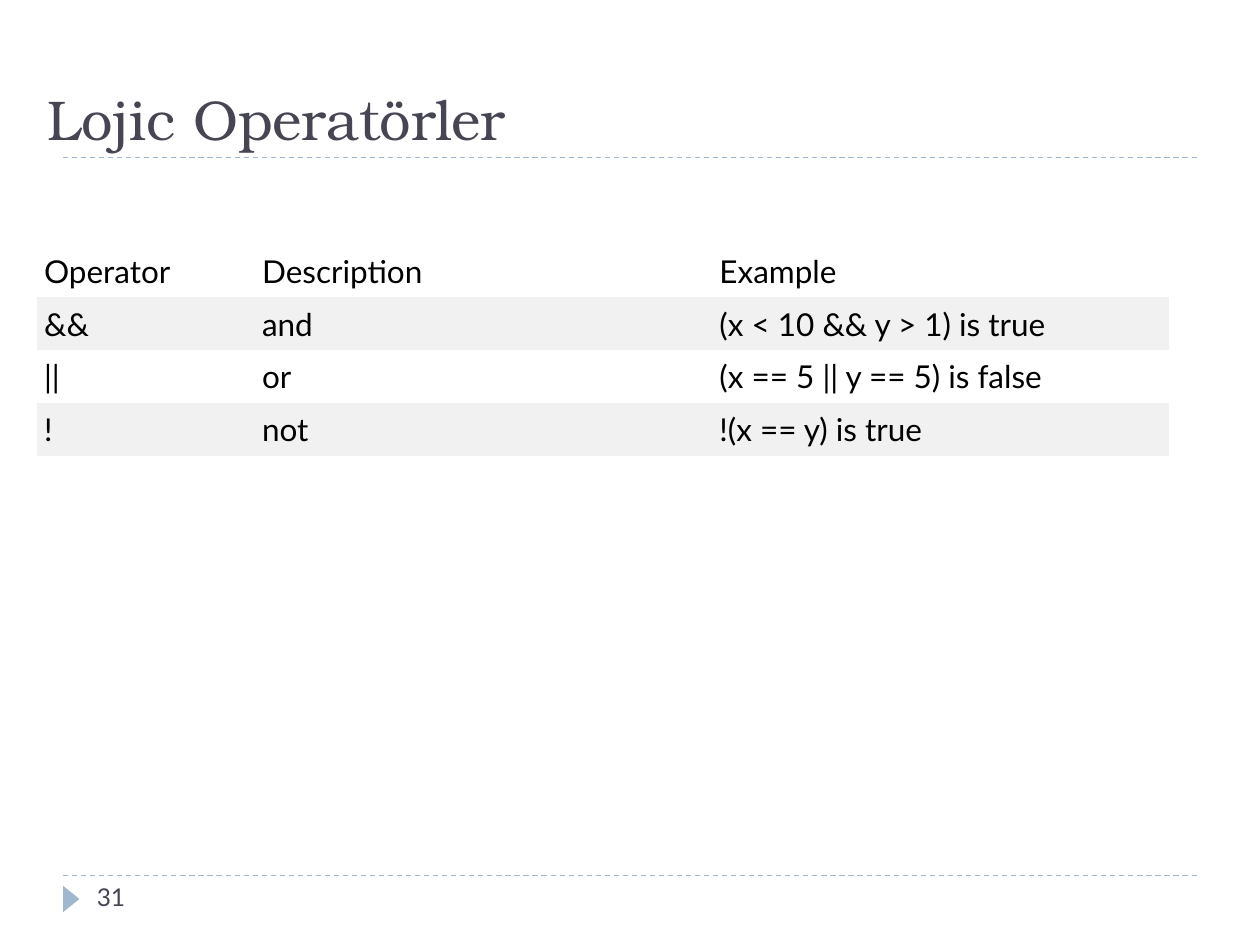
import pptx
import pptx.util
import pptx.dml.color
import pptx.enum.dml
import pptx.enum.shapes
import pptx.enum.text
import pptx.oxml.ns
import lxml.etree

Inches = pptx.util.Inches
Pt = pptx.util.Pt


def color(value):
    return pptx.dml.color.RGBColor.from_string(value)


class SlideBuilder:
    title_font = "TeX Gyre Bonum"
    body_font = "Lato"
    dark = "464653"
    accent = "9FB8CD"
    black = "000000"
    band_fills = ("FFFFFF", "F1F1F1")
    plain_table_style = "{2D5ABB26-0587-4C30-8999-92F81FD0307C}"

    def __init__(self, slide):
        self.slide = slide

    def add_text_run(self, frame, text, font, size, text_color):
        run = frame.paragraphs[0].add_run()
        run.text = text
        run.font.name = font
        run.font.size = Pt(size)
        run.font.color.rgb = color(text_color)

    def text(self, box, text, font, size, anchor):
        frame = self.slide.shapes.add_textbox(*map(Inches, box)).text_frame
        frame.word_wrap = True
        frame.vertical_anchor = anchor
        self.add_text_run(frame, text, font, size, self.dark)

    def dashed_rule(self, left, right, y):
        rule = self.slide.shapes.add_connector(
            pptx.enum.shapes.MSO_CONNECTOR.STRAIGHT,
            Inches(left), Inches(y), Inches(right), Inches(y))
        rule.line.color.rgb = color(self.accent)
        rule.line.width = Pt(0.75)
        rule.line.dash_style = pptx.enum.dml.MSO_LINE.DASH
        properties = rule.element.find(pptx.oxml.ns.qn("p:spPr"))
        lxml.etree.SubElement(properties, pptx.oxml.ns.qn("a:effectLst"))

    def triangle(self, box, rotation):
        shape = self.slide.shapes.add_shape(
            pptx.enum.shapes.MSO_SHAPE.ISOSCELES_TRIANGLE, *map(Inches, box))
        shape.rotation = rotation
        shape.shadow.inherit = False
        shape.fill.solid()
        shape.fill.fore_color.rgb = color(self.accent)
        shape.line.fill.background()

    def table(self, left, top, widths, row_height, rows):
        table = self.slide.shapes.add_table(
            len(rows), len(widths), Inches(left), Inches(top),
            Inches(sum(widths)), Inches(row_height * len(rows))).table
        table.first_row = False
        table.horz_banding = False
        style = next(table._tbl.iter(pptx.oxml.ns.qn("a:tableStyleId")))
        style.text = self.plain_table_style
        for column, width in zip(table.columns, widths):
            column.width = Inches(width)
        for row_index, row in enumerate(rows):
            for column_index, text in enumerate(row):
                cell = table.cell(row_index, column_index)
                cell.fill.solid()
                cell.fill.fore_color.rgb = color(self.band_fills[row_index % 2])
                cell.margin_left = cell.margin_right = Inches(0.06)
                cell.margin_top = cell.margin_bottom = Inches(0.06)
                self.add_text_run(cell.text_frame, text, self.body_font, 18, self.black)


presentation = pptx.Presentation()
presentation.slide_width = Inches(10)
presentation.slide_height = Inches(7.5)
slide = presentation.slides.add_slide(presentation.slide_layouts[6])
builder = SlideBuilder(slide)

for rule_y in (6.95, 1.25):
    builder.dashed_rule(0.5, 9.5, rule_y)
builder.triangle((0.46, 7.07, 0.21, 0.13), 90)
builder.text((0.28, 0.17, 9, 1.08), "Lojic Operatörler", builder.title_font, 32,
             pptx.enum.text.MSO_ANCHOR.BOTTOM)
builder.text((0.67, 6.95, 2.17, 0.4), "31", builder.body_font, 14,
             pptx.enum.text.MSO_ANCHOR.TOP)
builder.table(0.29, 1.94, (1.73, 3.63, 3.63), 0.41, (
    ("Operator", "Description", "Example"),
    ("&&", "and", "(x < 10 && y > 1) is true"),
    ("||", "or", "(x == 5 || y == 5) is false"),
    ("!", "not", "!(x == y) is true"),
))

presentation.save("out.pptx")
